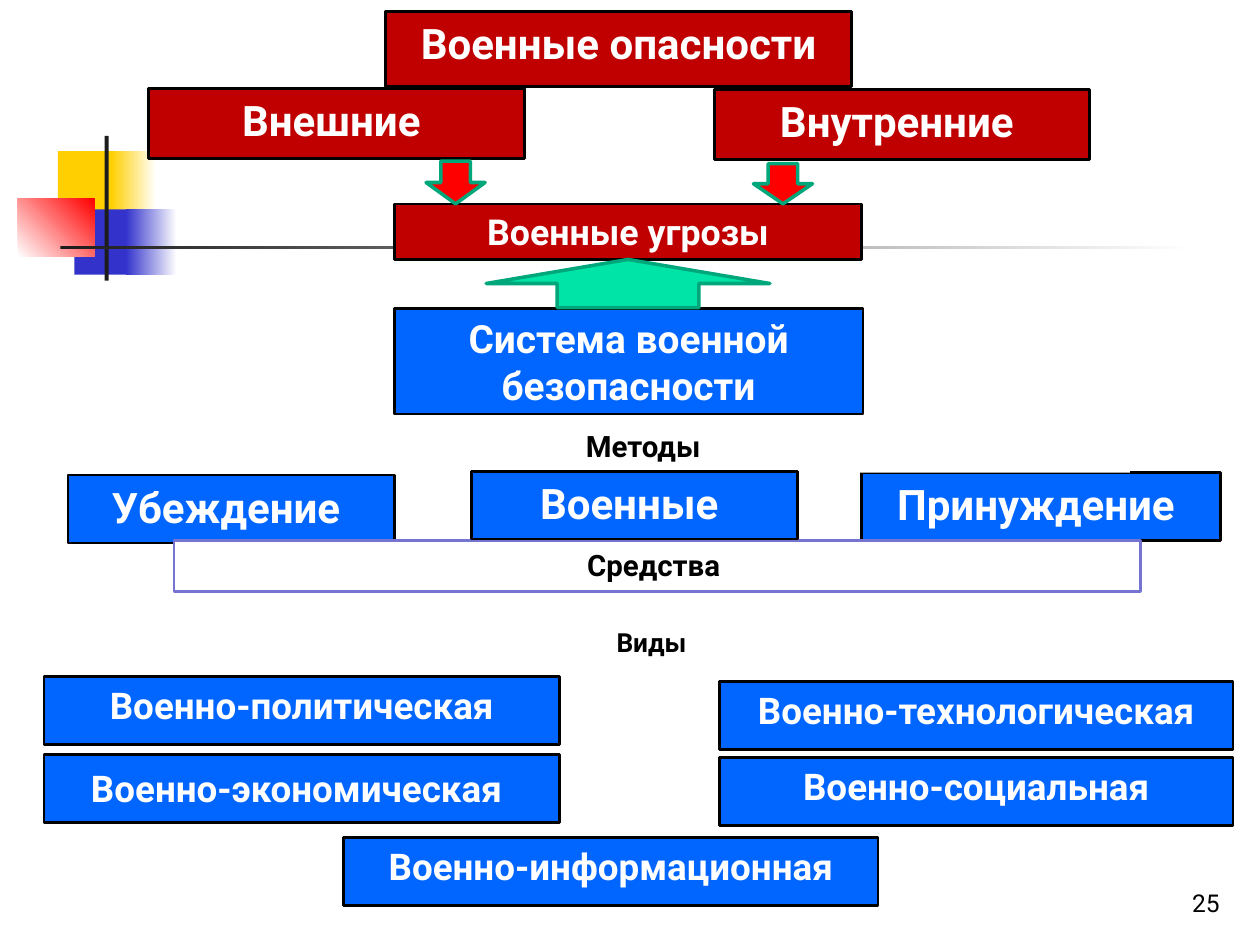
"""Build the slide on military dangers, threats and the military security system."""
from dataclasses import dataclass
from typing import Optional

from pptx import Presentation
from pptx.dml.color import RGBColor
from pptx.enum.shapes import MSO_SHAPE as Preset
from pptx.enum.text import MSO_ANCHOR as Anchor, PP_ALIGN as Align
from pptx.shapes.autoshape import Shape
from pptx.shapes.shapetree import SlideShapes
from pptx.util import Cm, Pt

FONT = "Roboto"
WHITE = RGBColor(0xFF, 0xFF, 0xFF)
BLACK = RGBColor(0x00, 0x00, 0x00)
CHARCOAL = RGBColor(0x1C, 0x1C, 0x1C)
YELLOW = RGBColor(0xFF, 0xCF, 0x01)
INDIGO = RGBColor(0x33, 0x33, 0xCC)
LAVENDER = RGBColor(0x75, 0x75, 0xD1)
RED = RGBColor(0xFF, 0x00, 0x00)
DARK_RED = RGBColor(0xC0, 0x00, 0x00)
BLUE = RGBColor(0x00, 0x66, 0xFF)
MINT = RGBColor(0x00, 0xE4, 0xA8)
GREEN = RGBColor(0x00, 0xA7, 0x7A)


@dataclass(frozen=True)
class Area:
    left: float
    top: float
    width: float
    height: float


@dataclass(frozen=True)
class Ornament:
    area: Area
    color: RGBColor
    fade_to: Optional[RGBColor] = None
    angle: float = 0


@dataclass(frozen=True)
class Arrow:
    area: Area
    fill: RGBColor
    rotation: float = 0


@dataclass(frozen=True)
class Words:
    text: str
    size: float


@dataclass(frozen=True)
class Box:
    area: Area
    words: tuple[Words, ...]
    fill: RGBColor = BLUE
    line: Optional[RGBColor] = BLACK
    ink: RGBColor = WHITE


ORNAMENTS = (
    Ornament(Area(1.17, 3.05, 1.22, 1.32), YELLOW),
    Ornament(Area(2.24, 3.05, 0.91, 1.32), YELLOW, WHITE),
    Ornament(Area(1.5, 4.22, 1.17, 1.32), INDIGO),
    Ornament(Area(2.54, 4.22, 1.02, 1.32), INDIGO, WHITE),
    Ornament(Area(0.36, 4.01, 1.55, 1.17), WHITE, RED, 45),
    Ornament(Area(2.11, 2.74, 0.08, 2.92), CHARCOAL),
    Ornament(Area(1.22, 4.95, 22.86, 0.08), CHARCOAL, WHITE),
)
DANGERS = (
    Box(Area(7.95, 6.22, 9.45, 2.13), (Words("Система военной безопасности", 22.2),)),
    Box(Area(7.95, 4.11, 9.42, 1.12), (Words("Военные угрозы", 20.4),), DARK_RED),
    Box(Area(14.4, 1.8, 7.57, 1.42), (Words("Внутренние ", 24),), DARK_RED),
    Box(Area(7.77, 0.23, 9.4, 1.52), (Words("Военные опасности", 24),), DARK_RED),
    Box(Area(3, 1.78, 7.57, 1.42), (Words("Внешние ", 24),), DARK_RED),
)
ARROWS = (
    Arrow(Area(8.59, 3.25, 1.19, 0.86), RED),
    Arrow(Area(15.19, 3.3, 1.19, 0.81), RED),
    Arrow(Area(9.8, 5.23, 5.72, 0.97), MINT, 180),
)
METHODS_AND_KINDS = (
    Box(Area(1.37, 9.58, 6.58, 1.37), (Words("Убеждение ", 24),)),
    Box(Area(17.37, 9.53, 7.24, 1.37), (Words("Принуждение ", 24),)),
    Box(Area(3.3, 8.51, 19.48, 1.02), (Words("Методы ", 16.8),), WHITE, None, BLACK),
    Box(Area(3.3, 12.5, 19.8, 0.89), (Words("Виды ", 15),), WHITE, None, BLACK),
    Box(Area(0.89, 13.64, 10.39, 1.37), (Words("Военно-политическая", 21),)),
    Box(Area(0.89, 15.21, 10.39, 1.37), (Words("Военно-экономическая", 21), Words(" ", 24))),
    Box(Area(14.5, 13.74, 10.36, 1.37), (Words("Военно-технологическая", 21),)),
    Box(Area(14.5, 15.27, 10.36, 1.37), (Words("Военно-социальная", 21),)),
    Box(Area(6.93, 16.89, 10.77, 1.37), (Words("Военно-информационная", 21),)),
    Box(Area(3.51, 10.9, 19.48, 1.02), (Words("Средства ", 16.8),), WHITE, LAVENDER, BLACK),
    Box(Area(9.5, 9.5, 6.58, 1.37), (Words("Военные ", 24),)),
)
PAGE_NUMBER = Area(19.56, 17.35, 5.28, 1.27)


def lengths(area: Area) -> tuple[Cm, Cm, Cm, Cm]:
    return Cm(area.left), Cm(area.top), Cm(area.width), Cm(area.height)


def add_preset(shapes: SlideShapes, preset: Preset, area: Area, fill: RGBColor,
               line: Optional[RGBColor] = None, weight: float = 1.5) -> Shape:
    shape = shapes.add_shape(preset, *lengths(area))
    shape.shadow.inherit = False
    shape.fill.solid()
    shape.fill.fore_color.rgb = fill
    if line is None:
        shape.line.fill.background()
    else:
        shape.line.color.rgb = line
        shape.line.width = Pt(weight)
    return shape


def write(shape: Shape, words: tuple[Words, ...], ink: RGBColor, align: Align,
          anchor: Anchor, bold: bool) -> None:
    frame = shape.text_frame
    frame.word_wrap = True
    frame.vertical_anchor = anchor
    paragraph = frame.paragraphs[0]
    paragraph.alignment = align
    for part in words:
        run = paragraph.add_run()
        run.text = part.text
        run.font.name = FONT
        run.font.size = Pt(part.size)
        run.font.bold = bold
        run.font.color.rgb = ink


def draw_ornament(shapes: SlideShapes, ornament: Ornament) -> None:
    shape = add_preset(shapes, Preset.RECTANGLE, ornament.area, ornament.color)
    if ornament.fade_to is not None:
        shape.fill.gradient()
        shape.fill.gradient_angle = ornament.angle
        for stop, color in zip(shape.fill.gradient_stops, (ornament.color, ornament.fade_to)):
            stop.color.rgb = color


def draw_box(shapes: SlideShapes, box: Box) -> None:
    shape = add_preset(shapes, Preset.RECTANGLE, box.area, box.fill, box.line)
    write(shape, box.words, box.ink, Align.CENTER, Anchor.TOP, True)


def draw_arrow(shapes: SlideShapes, arrow: Arrow) -> None:
    shape = add_preset(shapes, Preset.DOWN_ARROW, arrow.area, arrow.fill, GREEN, 2)
    shape.rotation = arrow.rotation


def main() -> None:
    deck = Presentation()
    deck.slide_width, deck.slide_height = Cm(25.4), Cm(19.05)
    shapes = deck.slides.add_slide(deck.slide_layouts[6]).shapes
    for ornament in ORNAMENTS:
        draw_ornament(shapes, ornament)
    number = shapes.add_textbox(*lengths(PAGE_NUMBER))
    write(number, (Words("25", 14),), BLACK, Align.RIGHT, Anchor.BOTTOM, False)
    for box in DANGERS:
        draw_box(shapes, box)
    for arrow in ARROWS:
        draw_arrow(shapes, arrow)
    for box in METHODS_AND_KINDS:
        draw_box(shapes, box)
    deck.save("out.pptx")


if __name__ == "__main__":
    main()
